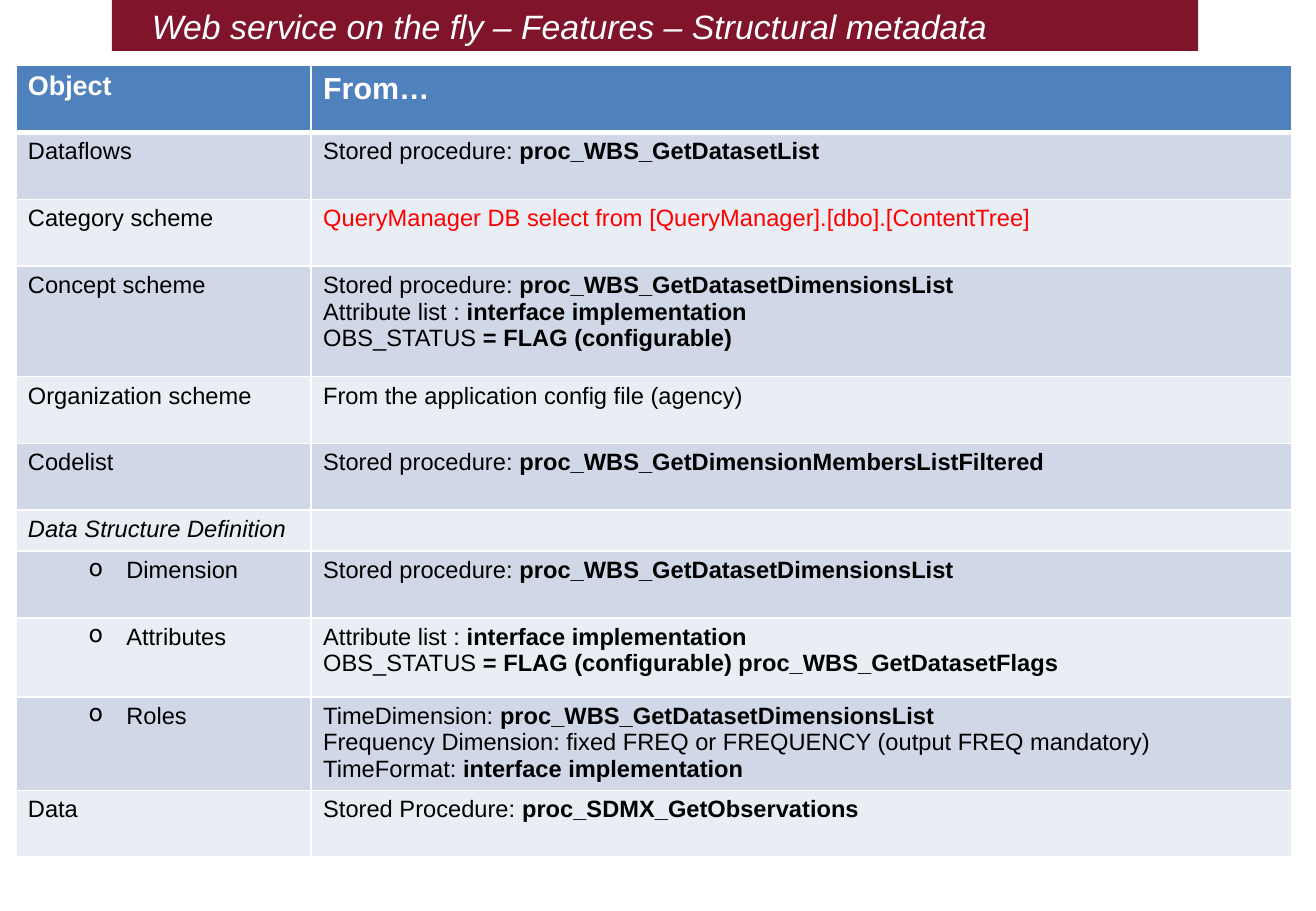
from lxml.etree import SubElement
from pptx import Presentation
from pptx.dml.color import RGBColor
from pptx.enum.shapes import MSO_SHAPE as Preset
from pptx.enum.text import MSO_ANCHOR as Anchor, MSO_AUTO_SIZE as AutoSize, PP_ALIGN as Align
from pptx.oxml import parse_xml
from pptx.oxml.ns import nsdecls, qn
from pptx.util import Inches, Pt

COLORS = {"banner": "7F142A", "header": "4F81BD", "odd": "D0D8E8", "even": "E9EDF4",
          "white": "FFFFFF", "black": "000000", "alert": "FF0000"}
FONT = "Arial"
COLUMN_WIDTHS = [2.43, 8.07]
ROW = 0.55

# Object, source lines (text after "|" is bold), row height
ROWS = [
    ("Object", ["From…"], ROW),
    ("Dataflows", ["Stored procedure: |proc_WBS_GetDatasetList"], ROW),
    ("Category scheme", ["QueryManager DB select from [QueryManager].[dbo].[ContentTree]"], ROW),
    ("Concept scheme", ["Stored procedure: |proc_WBS_GetDatasetDimensionsList",
                        "Attribute list : |interface implementation",
                        "OBS_STATUS |= FLAG (configurable)"], 0.91),
    ("Organization scheme", ["From the application config file (agency)"], ROW),
    ("Codelist", ["Stored procedure: |proc_WBS_GetDimensionMembersListFiltered"], ROW),
    ("Data Structure Definition", [""], 0.32),
    ("Dimension", ["Stored procedure: |proc_WBS_GetDatasetDimensionsList"], ROW),
    ("Attributes", ["Attribute list : |interface implementation",
                    "OBS_STATUS| = FLAG (configurable) proc_WBS_GetDatasetFlags"], 0.65),
    ("Roles", ["TimeDimension: |proc_WBS_GetDatasetDimensionsList",
               "Frequency Dimension: fixed FREQ or FREQUENCY (output FREQ mandatory)",
               "TimeFormat: |interface implementation"], 0.77),
    ("Data", ["Stored Procedure: |proc_SDMX_GetObservations"], ROW),
]
BULLETED = {"Dimension", "Attributes", "Roles"}


def style(run, size, color, bold=False, italic=False):
    font = run.font
    font.name, font.size, font.bold, font.italic = FONT, Pt(size), bold, italic
    font.color.rgb = RGBColor.from_string(COLORS[color])


def set_borders(cell, bottom):
    properties = cell._tc.get_or_add_tcPr()
    for position, (side, width) in enumerate(zip("LRTB", (1, 1, 1, bottom))):
        properties.insert(position, parse_xml(
            f'<a:ln{side} {nsdecls("a")} w="{Pt(width)}"><a:solidFill>'
            f'<a:srgbClr val="{COLORS["white"]}"/></a:solidFill></a:ln{side}>'))


prs = Presentation()
prs.slide_width, prs.slide_height = Inches(10.83), Inches(7.5)
slide = prs.slides.add_slide(prs.slide_layouts[5])

# Title on its banner
title = slide.shapes.title
title.left, title.top, title.width, title.height = Inches(1.15), 0, Inches(7.31), Inches(0.38)
title_frame = title.text_frame
title_frame.text = "Web service on the fly – Features – Structural metadata"
title_frame.auto_size = AutoSize.NONE
title_frame.vertical_anchor = Anchor.TOP
title_frame.paragraphs[0].alignment = Align.LEFT
style(title_frame.paragraphs[0].runs[0], 20, "white", italic=True)

banner = slide.shapes.add_shape(Preset.RECTANGLE, Inches(0.92), 0, Inches(8.94), Inches(0.42))
banner.shadow.inherit = False
banner.fill.solid()
banner.fill.fore_color.rgb = RGBColor.from_string(COLORS["banner"])
banner.line.fill.background()
title.element.addprevious(banner.element)

# Table of objects and their sources
objects = slide.shapes.add_table(
    len(ROWS), len(COLUMN_WIDTHS), Inches(0.13), Inches(0.54),
    Inches(sum(COLUMN_WIDTHS)), Inches(sum(height for *_, height in ROWS))).table
for column, width in zip(objects.columns, COLUMN_WIDTHS):
    column.width = Inches(width)

for r, (name, sources, height) in enumerate(ROWS):
    objects.rows[r].height = Inches(height)
    is_header = r == 0
    band = "header" if is_header else "odd" if r % 2 else "even"
    for c, lines in enumerate(([name], sources)):
        cell = objects.cell(r, c)
        cell.fill.solid()
        cell.fill.fore_color.rgb = RGBColor.from_string(COLORS[band])
        set_borders(cell, bottom=3 if is_header else 1)

        size = (16, 18)[c] if is_header else 14
        color = "white" if is_header else "alert" if c and name == "Category scheme" else "black"
        cell.text_frame.text = "\n".join(line.split("|")[0] for line in lines)
        for paragraph, line in zip(cell.text_frame.paragraphs, lines):
            for strong in line.split("|")[1:]:
                paragraph.add_run().text = strong
            for i, run in enumerate(paragraph.runs):
                style(run, size, color, bold=is_header or i > 0,
                      italic=name == "Data Structure Definition")
            if not line:
                SubElement(paragraph._p, qn("a:endParaRPr"), sz=str(size * 100))

    # Parts of the structure definition are bulleted
    if name in BULLETED:
        item = objects.cell(r, 0).text_frame.paragraphs[0]
        item.level = 1
        indent = item._p.get_or_add_pPr()
        indent.set("marL", str(Inches(0.81)))
        indent.set("indent", str(-Inches(0.31)))
        SubElement(indent, qn("a:buChar"), char="o")

prs.save("out.pptx")
